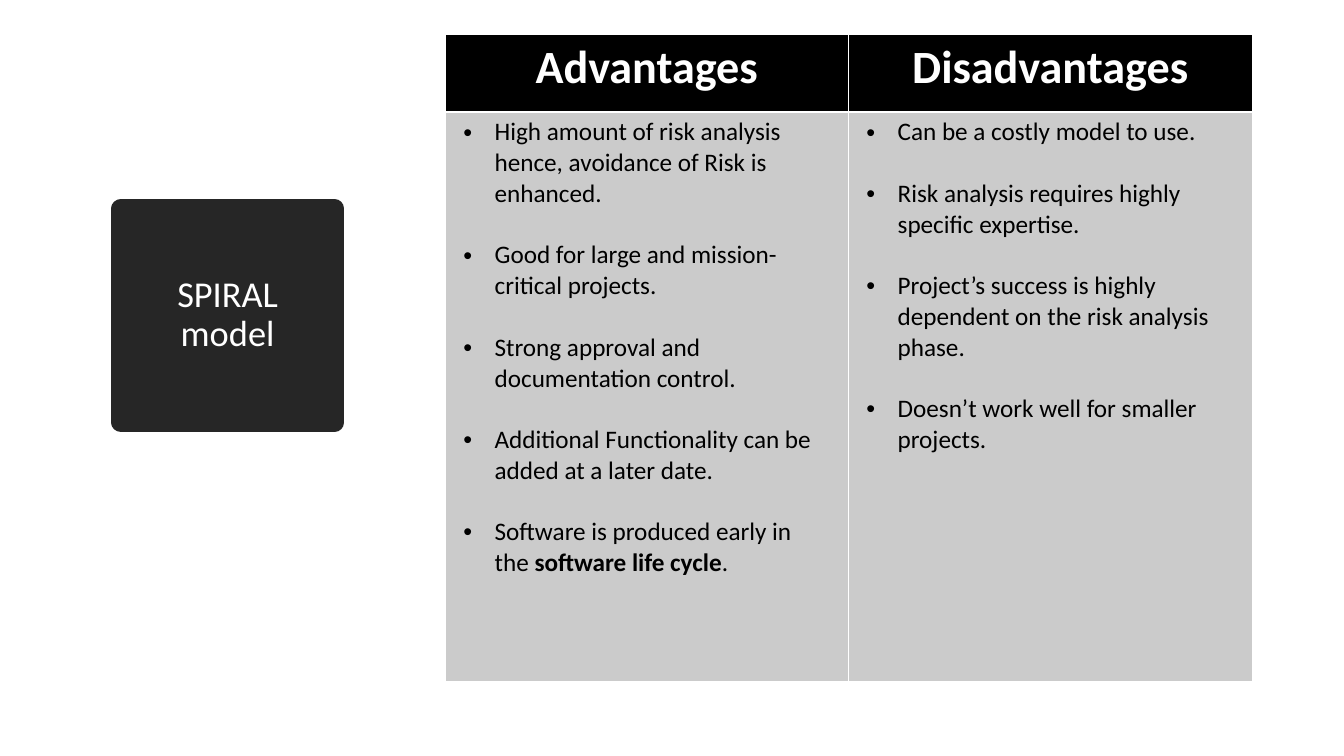
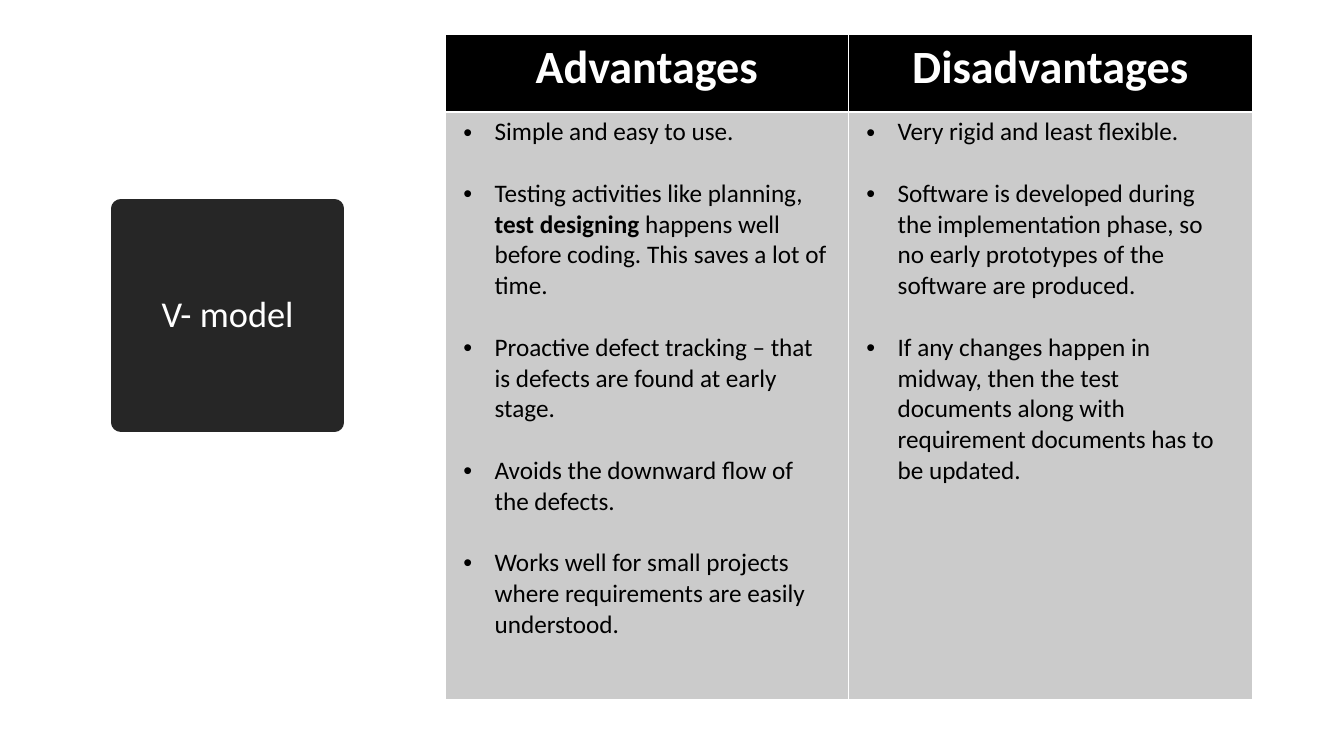
from lxml.etree import SubElement
from pptx import Presentation
from pptx.dml.color import RGBColor
from pptx.enum.shapes import MSO_SHAPE
from pptx.enum.text import MSO_ANCHOR, PP_ALIGN
from pptx.oxml.ns import qn
from pptx.util import Inches, Pt

WHITE, BLACK, CHARCOAL, GREY = "FFFFFF", "000000", "262626", "CBCBCB"
TITLE_FORMAT = {"name": "Calibri", "size": Pt(26), "bold": False}
HEADING_FORMAT = {"name": "Calibri", "size": Pt(33), "bold": True}
POINT_FORMAT = {"name": "Calibri", "size": Pt(18), "bold": False}
CELL_MARGINS = {
    "margin_left": Inches(0.18),
    "margin_right": Inches(0.18),
    "margin_top": Inches(0.05),
    "margin_bottom": Inches(0.05),
}
HEADINGS = ["Advantages", "Disadvantages"]
COLUMN_WIDTHS = [4, 4.01]
HEADING_HEIGHT = 0.77
THIN, THICK = 0.45, 1.47

MODELS = [
    ("SPIRAL model", 5.65, [
        [
            "High amount of risk analysis hence, avoidance of Risk is enhanced.",
            "Good for large and mission-critical projects.",
            "Strong approval and documentation control.",
            "Additional Functionality can be added at a later date.",
            "Software is produced early in the *software life cycle*.",
        ],
        [
            "Can be a costly model to use.",
            "Risk analysis requires highly specific expertise.",
            "Project’s success is highly dependent on the risk analysis phase.",
            "Doesn’t work well for smaller projects.",
        ],
    ]),
    ("V- model", 5.83, [
        [
            "Simple and easy to use.",
            "Testing activities like planning, *test designing* happens well before "
            "coding. This saves a lot of time.",
            "Proactive defect tracking – that is defects are found at early stage.",
            "Avoids the downward flow of the defects.",
            "Works well for small projects where requirements are easily understood.",
        ],
        [
            "Very rigid and least flexible.",
            "Software is developed during the implementation phase, so no early "
            "prototypes of the software are produced.",
            "If any changes happen in midway, then the test documents along with "
            "requirement documents has to be updated.",
        ],
    ]),
]


def paint(color_format, hex_color):
    color_format.rgb = RGBColor.from_string(hex_color)


def write(paragraph, text, text_format, hex_color):
    for position, part in enumerate(text.split("*")):
        run = paragraph.add_run()
        run.text = part
        for attribute, value in text_format.items():
            setattr(run.font, attribute, value)
        if position % 2:
            run.font.bold = True
        paint(run.font.color, hex_color)


prs = Presentation()
prs.slide_width, prs.slide_height = Inches(13.34), Inches(7.5)

for model, points_height, columns in MODELS:
    slide = prs.slides.add_slide(prs.slide_layouts[6])

    title = slide.shapes.add_shape(
        MSO_SHAPE.RECTANGLE, Inches(1.2), Inches(2.07), Inches(2.12), Inches(2.12))
    title.shadow.inherit = False
    title.fill.solid()
    paint(title.fill.fore_color, CHARCOAL)
    paint(title.line.color, CHARCOAL)
    title.line.width = Pt(13.75)
    title.text_frame.word_wrap = True
    title.text_frame.vertical_anchor = MSO_ANCHOR.MIDDLE
    title_line = title.text_frame.paragraphs[0]
    title_line.alignment = PP_ALIGN.CENTER
    title_line.line_spacing = 0.9
    write(title_line, model, TITLE_FORMAT, WHITE)

    comparison = slide.shapes.add_table(
        2, 2, Inches(4.42), Inches(0.34),
        Inches(sum(COLUMN_WIDTHS)), Inches(HEADING_HEIGHT + points_height)).table
    comparison.horz_banding = False
    for column, width in zip(comparison.columns, COLUMN_WIDTHS):
        column.width = Inches(width)
    for row, height in zip(comparison.rows, [HEADING_HEIGHT, points_height]):
        row.height = Inches(height)

    for row, background, top, bottom in [(0, BLACK, THIN, THICK), (1, GREY, THICK, THIN)]:
        for cell in comparison.rows[row].cells:
            for attribute, value in CELL_MARGINS.items():
                setattr(cell, attribute, value)
            borders = {"a:lnL": THIN, "a:lnR": THIN, "a:lnT": top, "a:lnB": bottom}
            for side, weight in borders.items():
                border = SubElement(cell._tc.get_or_add_tcPr(), qn(side), w=str(Pt(weight)))
                border_fill = SubElement(border, qn("a:solidFill"))
                SubElement(border_fill, qn("a:srgbClr"), val=WHITE)
            cell.fill.solid()
            paint(cell.fill.fore_color, background)

    for column, (heading, points) in enumerate(zip(HEADINGS, columns)):
        heading_line = comparison.cell(0, column).text_frame.paragraphs[0]
        heading_line.alignment = PP_ALIGN.CENTER
        write(heading_line, heading, HEADING_FORMAT, WHITE)

        point_list = comparison.cell(1, column).text_frame
        for position, point in enumerate(points):
            point_line = point_list.add_paragraph() if position else point_list.paragraphs[0]
            point_line.space_before = Pt(22 if position else 0)
            properties = point_line._p.get_or_add_pPr()
            properties.set("marL", str(Inches(0.31)))
            properties.set("indent", str(-Inches(0.31)))
            SubElement(properties, qn("a:buFont"), typeface="Arial")
            SubElement(properties, qn("a:buChar"), char="•")
            write(point_line, point, POINT_FORMAT, BLACK)

prs.save("out.pptx")
